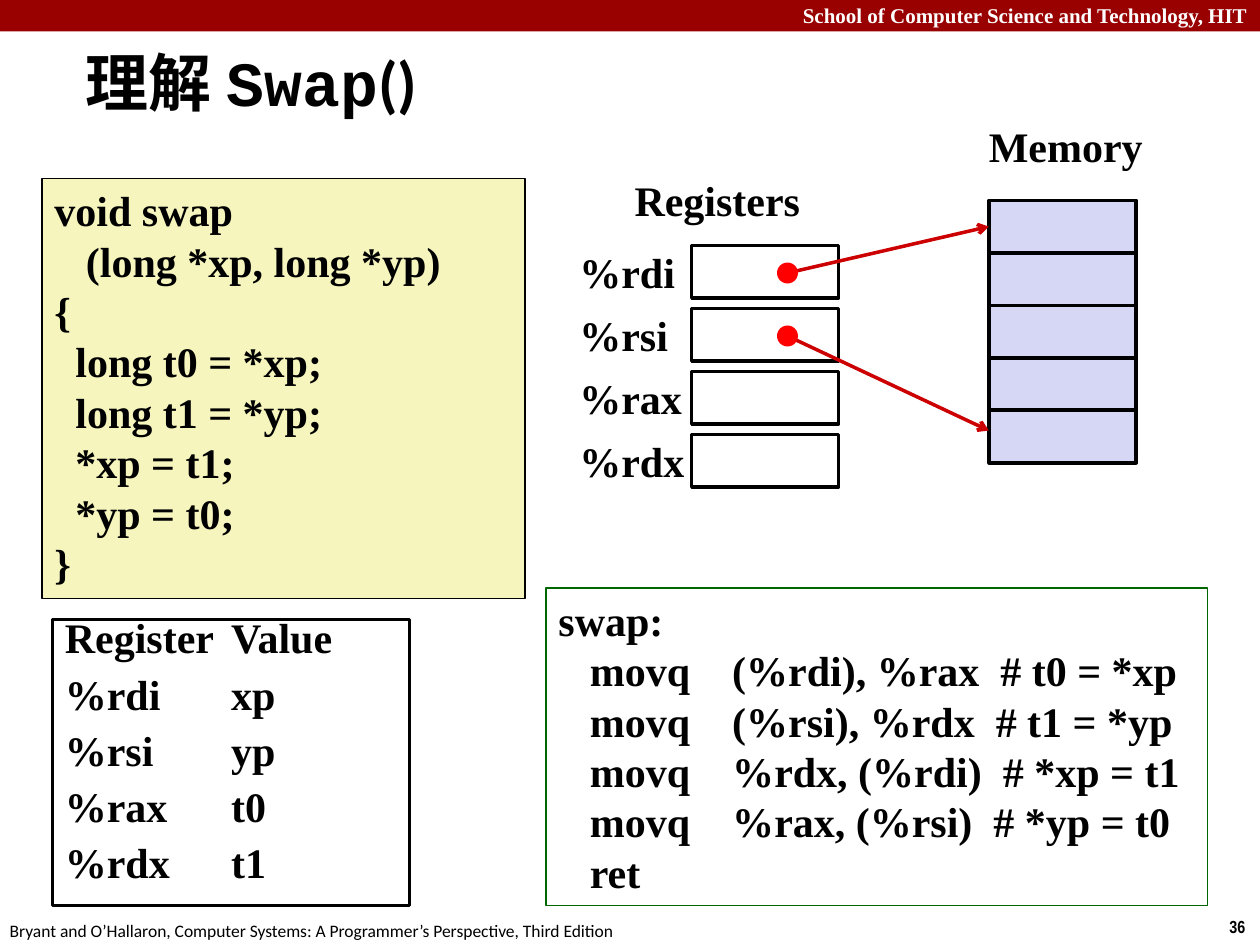
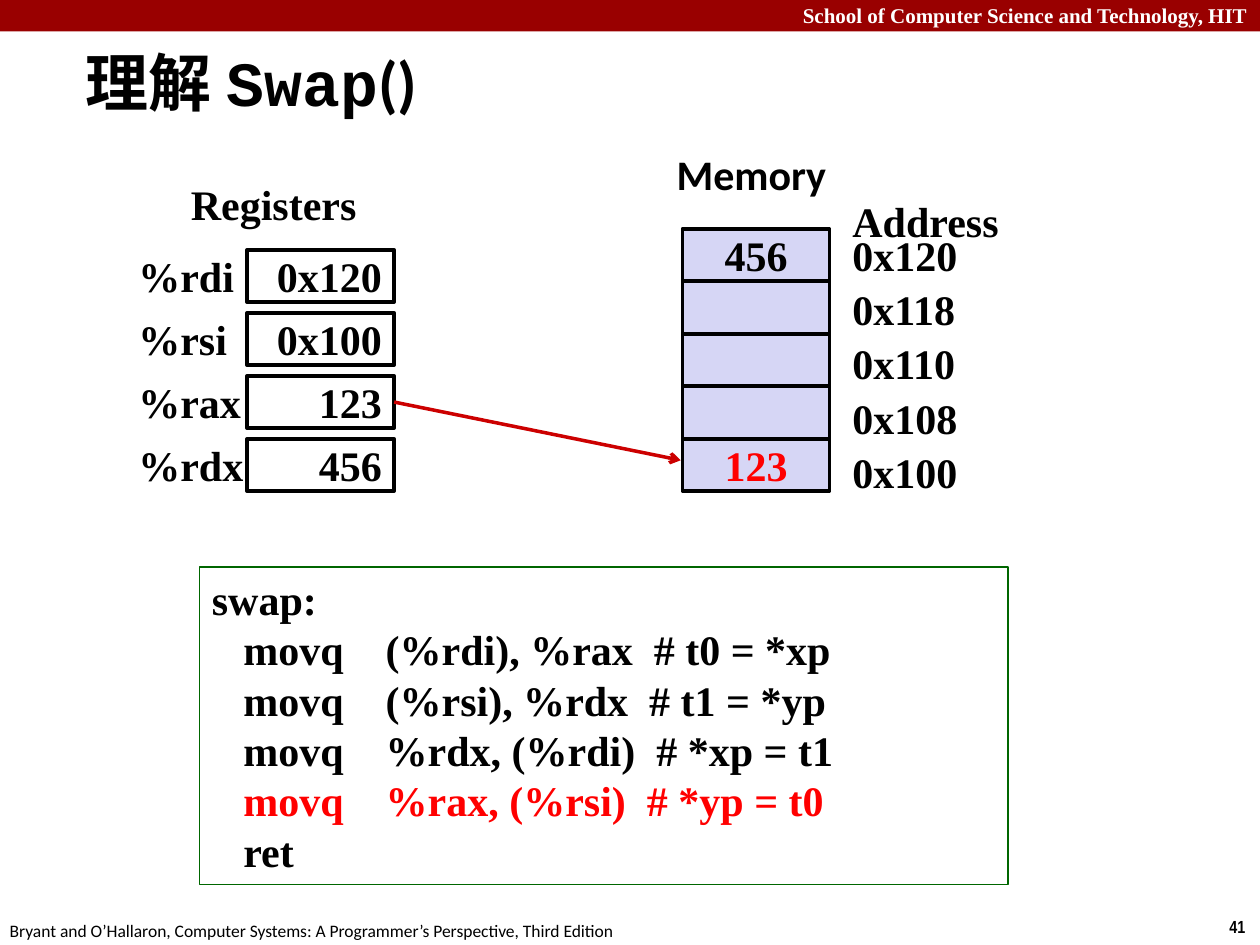
import pptx
import pptx.util
import pptx.dml.color
import pptx.enum.shapes
import pptx.enum.text
import pptx.oxml.ns
import lxml.etree

Pt = pptx.util.Pt
RGBColor = pptx.dml.color.RGBColor
SHAPES = pptx.enum.shapes.MSO_SHAPE
ALIGN = pptx.enum.text.PP_ALIGN
ANCHOR = pptx.enum.text.MSO_ANCHOR
qn = pptx.oxml.ns.qn

BLACK = RGBColor(0x00, 0x00, 0x00)
WHITE = RGBColor(0xFF, 0xFF, 0xFF)
BAND_RED = RGBColor(0x99, 0x00, 0x00)
ARROW_RED = RGBColor(0xCC, 0x00, 0x00)
BRIGHT_RED = RGBColor(0xFF, 0x00, 0x00)
CODE_YELLOW = RGBColor(0xF6, 0xF5, 0xBD)
ASM_GREEN = RGBColor(0x00, 0x66, 0x00)
MEMORY_LILAC = RGBColor(0xD6, 0xD6, 0xF5)

SERIF = "Times New Roman"
CELL_WIDTH, CELL_HEIGHT, REGISTER_PITCH = 84, 30, 36
REGISTERS = ["%rdi", "%rsi", "%rax", "%rdx"]
SWAP_C = """void swap
   (long *xp, long *yp)
{
  long t0 = *xp;
  long t1 = *yp;
  *xp = t1;
  *yp = t0;
}"""
SWAP_ASM = """swap:
   movq    (%rdi), %rax  # t0 = *xp
   movq    (%rsi), %rdx  # t1 = *yp
   movq    %rdx, (%rdi)  # *xp = t1
   movq    %rax, (%rsi)  # *yp = t0
   ret"""


def add_box(slide, left, top, width, height, text="", fill=None, line=None, line_width=2,
            size=24, font=SERIF, bold=True, color=BLACK, align=ALIGN.LEFT,
            anchor=ANCHOR.TOP, wrap=True, outline=SHAPES.RECTANGLE):
    frame = (Pt(left), Pt(top), Pt(width), Pt(height))
    if fill is None and line is None:
        box = slide.shapes.add_textbox(*frame)
    else:
        box = slide.shapes.add_shape(outline, *frame)
        box.shadow.inherit = False
        if fill is None:
            box.fill.background()
        else:
            box.fill.solid()
            box.fill.fore_color.rgb = fill
        if line is None:
            box.line.fill.background()
        else:
            box.line.color.rgb = line
            box.line.width = Pt(line_width)
    if text:
        box.text_frame.text = text
        box.text_frame.word_wrap = wrap
        box.text_frame.vertical_anchor = anchor
        for paragraph in box.text_frame.paragraphs:
            paragraph.alignment = align
            for run in paragraph.runs:
                run.font.size = Pt(size)
                run.font.name = font
                run.font.bold = bold
                run.font.color.rgb = color
    return box


def add_arrow(slide, x1, y1, x2, y2):
    arrow = slide.shapes.add_connector(
        pptx.enum.shapes.MSO_CONNECTOR.STRAIGHT, Pt(x1), Pt(y1), Pt(x2), Pt(y2))
    arrow.line.color.rgb = ARROW_RED
    arrow.line.width = Pt(2)
    lxml.etree.SubElement(arrow.line._get_or_add_ln(), qn("a:tailEnd"), type="arrow")
    lxml.etree.SubElement(arrow._element.spPr, qn("a:effectLst"))


deck = pptx.Presentation()
deck.slide_width, deck.slide_height = Pt(720), Pt(540)

states = [
    dict(page="36", label_left=324, cell_left=395.25, register_top=140.25,
         register_values=[""] * 4, memory_left=565.25, memory_top=114.5,
         memory_values=[""] * 5),
    dict(page="41", label_left=72, cell_left=141.25, register_top=142.75,
         register_values=["0x120", "0x100", "123", "456"], memory_left=390,
         memory_top=130.75, memory_values=["456", "", "", "", "123"]),
]
slides = []
for state in states:
    slide = deck.slides.add_slide(deck.slide_layouts[6])
    slides.append(slide)
    add_box(slide, 0, 0, 720, 18, fill=BAND_RED)
    add_box(slide, 0, -2, 720, 21.6, "School of Computer Science and Technology, HIT",
            size=12, color=WHITE, align=ALIGN.RIGHT)
    add_box(slide, 695.5, 520, 24.5, 19.4, state["page"], size=10,
            font="Arial Narrow", wrap=False)
    add_box(slide, -1.5, 522, 366, 19.4,
            "Bryant and O’Hallaron, Computer Systems: A Programmer’s Perspective, Third Edition",
            size=10, font="Calibri", bold=False, wrap=False)

    title = add_box(slide, 42, 24, 502, 45, "理解", size=36, font="Calibri",
                    anchor=ANCHOR.MIDDLE)
    for part, font in [("Swap", "Courier New"), ("()", "Calibri")]:
        run = title.text_frame.paragraphs[0].add_run()
        run.text = part
        run.font.size = Pt(36)
        run.font.name = font
        run.font.bold = True
        run.font.color.rgb = BLACK

    for row, (register, value) in enumerate(zip(REGISTERS, state["register_values"])):
        top = state["register_top"] + row * REGISTER_PITCH
        add_box(slide, state["label_left"], top, state["cell_left"] - state["label_left"],
                CELL_HEIGHT, register, fill=WHITE, anchor=ANCHOR.MIDDLE, wrap=False)
        add_box(slide, state["cell_left"], top, CELL_WIDTH, CELL_HEIGHT, value, fill=WHITE,
                line=BLACK, align=ALIGN.RIGHT, anchor=ANCHOR.MIDDLE, wrap=False)
    for row, value in enumerate(state["memory_values"]):
        add_box(slide, state["memory_left"], state["memory_top"] + row * CELL_HEIGHT,
                CELL_WIDTH, CELL_HEIGHT, value, fill=MEMORY_LILAC, line=BLACK,
                color=BRIGHT_RED if value == "123" else BLACK, align=ALIGN.CENTER,
                anchor=ANCHOR.MIDDLE, wrap=False)

pointers, write_back = slides

add_box(pointers, 24, 102, 276, 240, SWAP_C, fill=CODE_YELLOW, line=BLACK, line_width=1)
add_box(pointers, 558, 65.5, 103, 36, "Memory", wrap=False)
add_box(pointers, 355.5, 96, 110, 36, "Registers", wrap=False)
add_box(pointers, 312, 336, 378, 181.5, SWAP_ASM, line=ASM_GREEN, line_width=1)

assignments = [("Register", "Value")] + list(zip(REGISTERS, ["xp", "yp", "t0", "t1"]))
register_roles = add_box(pointers, 30, 354, 204, 163.5,
                         "\n".join("\t".join(pair) for pair in assignments), line=BLACK)
for row, paragraph in enumerate(register_roles.text_frame.paragraphs):
    tabs = lxml.etree.SubElement(paragraph._p.get_or_add_pPr(), qn("a:tabLst"))
    lxml.etree.SubElement(tabs, qn("a:tab"), pos=str(Pt(95)), algn="l")
    paragraph.line_spacing = 0.7
    paragraph.space_before = Pt(12 if row else 0)

for start_y, target_y in [(156, 129.5), (192, 246)]:
    add_arrow(pointers, 450, start_y, 565, target_y)
    add_box(pointers, 444, start_y - 6, 12, 12, fill=BRIGHT_RED, outline=SHAPES.OVAL)

add_box(write_back, 102, 98.5, 110, 36, "Registers", wrap=False)
add_box(write_back, 379.5, 81.5, 101, 36, "Memory", font="Calibri", wrap=False)
add_arrow(write_back, 225.25, 229.75, 389, 263)
assembly = add_box(write_back, 114, 324, 462, 181.5, SWAP_ASM, line=ASM_GREEN, line_width=1)
assembly.text_frame.paragraphs[4].runs[0].font.color.rgb = BRIGHT_RED
for row, address in enumerate(["0x120", "0x118", "0x110", "0x108", "0x100"]):
    add_box(write_back, 480, 127.5 + row * 31, 126, 36, address)
add_box(write_back, 480, 108, 126, 36, "Address")

deck.save("out.pptx")
